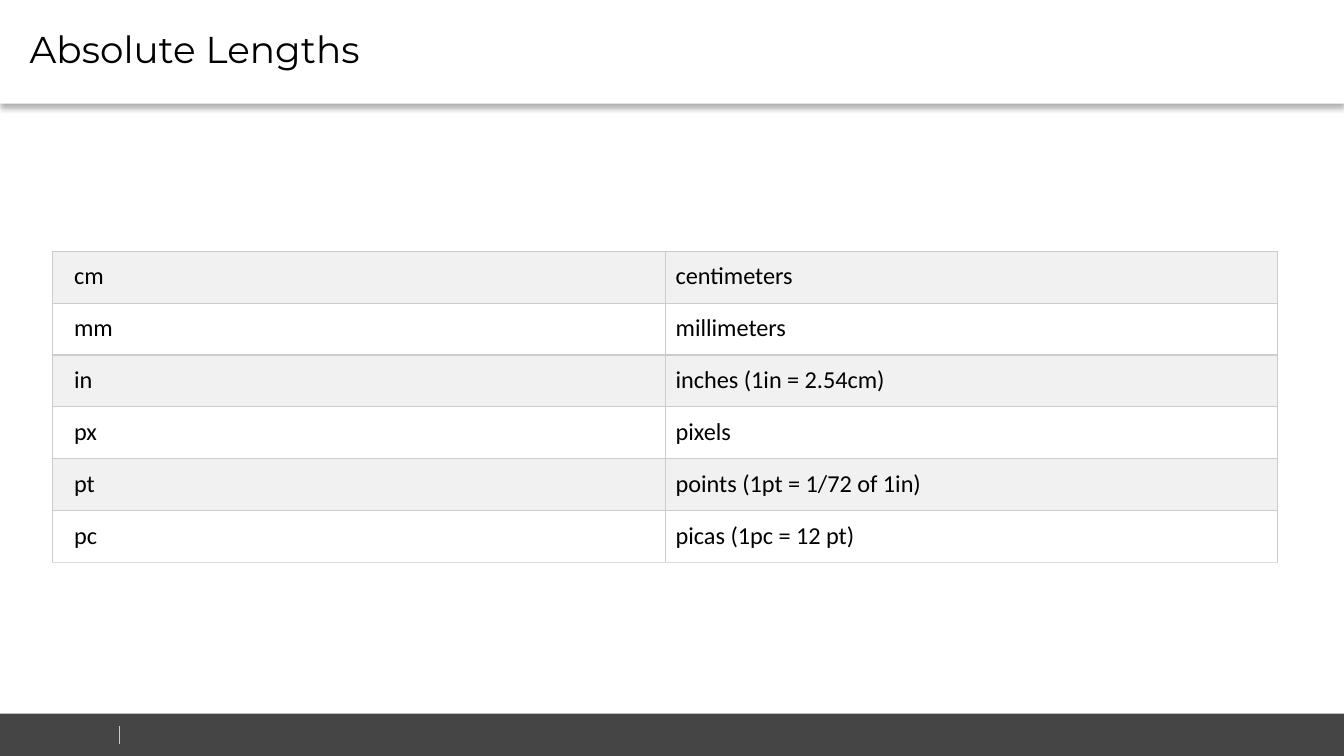
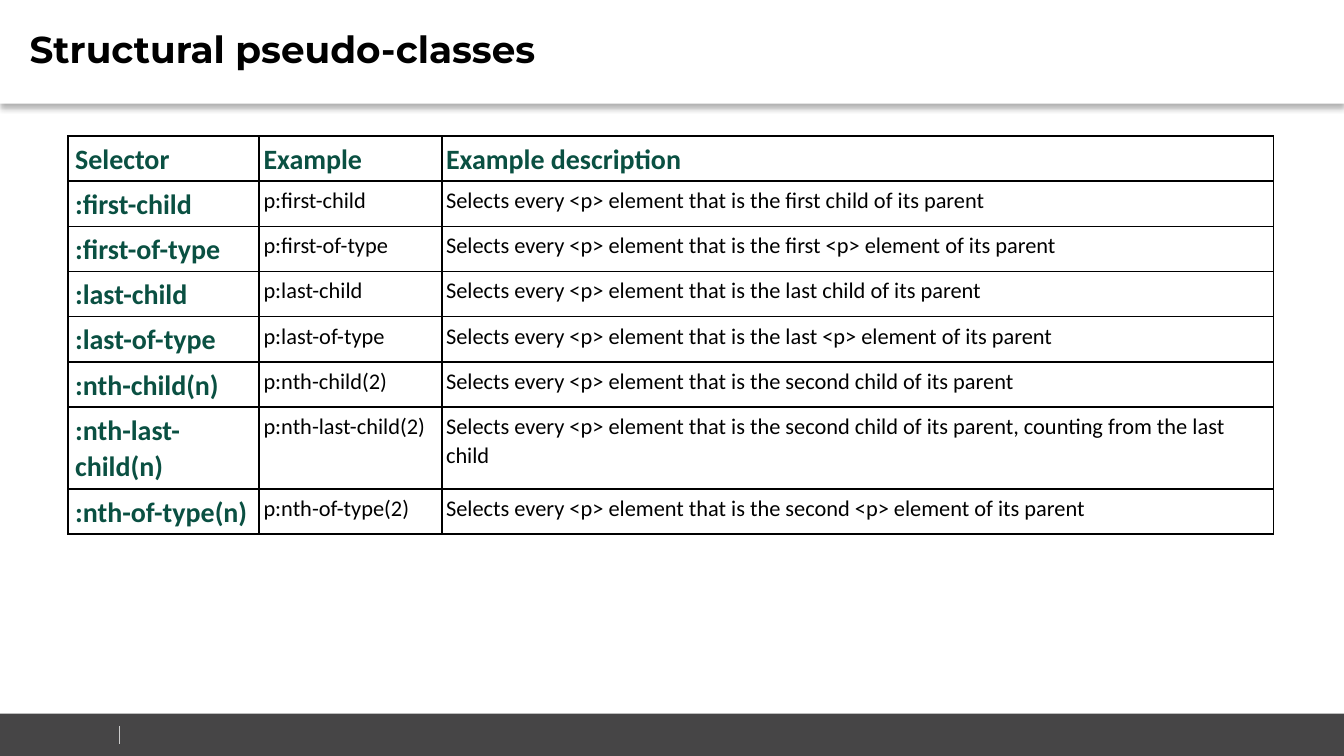
from dataclasses import dataclass

from lxml import etree
from pptx import Presentation
from pptx import util as u
from pptx.dml.color import RGBColor
from pptx.enum import shapes, text
from pptx.oxml.ns import qn

BLACK, WHITE, GREEN = "000000", "FFFFFF", "0A5042"
BAND, RULE, LAST_RULE, STRIPE = "464546", "CCCCCC", "DDDDDD", "F1F1F1"
WIDTH, HEIGHT, TITLE_H, FOOTER_H = u.Cm(25.4), u.Cm(14.29), u.Cm(1.96), u.Cm(0.8)


@dataclass(frozen=True)
class TextStyle:
    size: float
    color: str = BLACK
    bold: bool = False
    spacing: float | None = None
    font: str = "Calibri"


@dataclass(frozen=True)
class TableLook:
    left: float
    top: float
    cols: tuple[float, ...]
    rows: tuple[float, ...]
    first_inset: float
    inset: float
    border: str
    last_border: str
    border_pt: float
    head: TextStyle
    body: TextStyle
    fills: tuple[str, ...] = ()


UNIT_TEXT = TextStyle(13)
UNIT_LOOK = TableLook(0.99, 4.75, (11.58,) * 2, (0.98,) * 6, 0.41, 0.2,
                      RULE, LAST_RULE, 0.75, UNIT_TEXT, UNIT_TEXT, (STRIPE, WHITE))
SELECTOR_LOOK = TableLook(1.29, 2.57, (3.61, 3.45, 15.72), (0.83,) * 6 + (1.5, 0.83),
                          0.13, 0.08, BLACK, BLACK, 1,
                          TextStyle(15, GREEN, True, 1.07), TextStyle(12, spacing=1.07))

UNITS = [
    ("cm", "centimeters"),
    ("mm", "millimeters"),
    ("in", "inches (1in = 2.54cm)"),
    ("px", "pixels"),
    ("pt", "points (1pt = 1/72 of 1in)"),
    ("pc", "picas (1pc = 12 pt)"),
]
SELECTORS = [
    (":first-child", "p:first-child", "first child of its parent"),
    (":first-of-type", "p:first-of-type", "first <p> element of its parent"),
    (":last-child", "p:last-child", "last child of its parent"),
    (":last-of-type", "p:last-of-type", "last <p> element of its parent"),
    (":nth-child(n)", "p:nth-child(2)", "second child of its parent"),
    (":nth-last-child(n)", "p:nth-last-child(2)",
     "second child of its parent, counting from the last child"),
    (":nth-of-type(n)", "p:nth-of-type(2)", "second <p> element of its parent"),
]
SELECTOR_ROWS = [("Selector", "Example", "Example description")] + [
    (name, example, f"Selects every <p> element that is the {target}")
    for name, example, target in SELECTORS
]


def rgb(color: str) -> RGBColor:
    return RGBColor.from_string(color)


def paint(fill, color: str) -> None:
    fill.solid()
    fill.fore_color.rgb = rgb(color)


def write(tf, content: str, style: TextStyle) -> None:
    tf.text = content
    p = tf.paragraphs[0]
    p.alignment = text.PP_ALIGN.LEFT
    if style.spacing:
        p.line_spacing = style.spacing
    f = p.font
    f.name, f.size, f.bold = style.font, u.Pt(style.size), style.bold
    f.color.rgb = rgb(style.color)


def add_shadow(sp) -> None:
    sp.shadow.inherit = False
    effects = sp._element.spPr.find(qn("a:effectLst"))
    shadow = etree.SubElement(effects, qn("a:outerShdw"), blurRad=str(u.Pt(3.1)),
                              dist=str(u.Pt(2)), dir="5400000", algn="t", rotWithShape="0")
    color = etree.SubElement(shadow, qn("a:srgbClr"), val=BLACK)
    etree.SubElement(color, qn("a:alpha"), val="29000")


def add_footer(s) -> None:
    band = s.shapes.add_shape(shapes.MSO_SHAPE.RECTANGLE, 0, HEIGHT - FOOTER_H, WIDTH, FOOTER_H)
    band.shadow.inherit = False
    paint(band.fill, BAND)
    band.line.fill.background()
    x = u.Cm(2.26)
    rule = s.shapes.add_connector(shapes.MSO_CONNECTOR.STRAIGHT, x, u.Cm(13.72), x, u.Cm(14.07))
    rule.line.color.rgb = rgb(RULE)
    rule.line.width = u.Pt(0.25)
    etree.SubElement(rule._element.spPr, qn("a:effectLst"))


def add_slide(prs, title: str, bold: bool = False):
    s = prs.slides.add_slide(prs.slide_layouts[5])
    paint(s.background.fill, WHITE)
    add_footer(s)
    sp = s.shapes.title
    sp.left, sp.top, sp.width, sp.height = 0, 0, WIDTH, TITLE_H
    paint(sp.fill, WHITE)
    add_shadow(sp)
    tf = sp.text_frame
    tf.word_wrap = True
    tf.auto_size = text.MSO_AUTO_SIZE.NONE
    tf.vertical_anchor = text.MSO_ANCHOR.MIDDLE
    tf.margin_left, tf.margin_right = u.Cm(0.56), u.Cm(0.15)
    tf.margin_top = tf.margin_bottom = u.Cm(0.08)
    write(tf, title, TextStyle(20, bold=bold, spacing=0.9, font="Montserrat"))
    return s


def set_borders(cell, look: TableLook, last: bool) -> None:
    tc_pr = cell._tc.get_or_add_tcPr()
    for i, side in enumerate("LRTB"):
        ln = etree.Element(qn(f"a:ln{side}"), w=str(u.Pt(look.border_pt)))
        fill = etree.SubElement(ln, qn("a:solidFill"))
        color = look.last_border if last and side == "B" else look.border
        etree.SubElement(fill, qn("a:srgbClr"), val=color)
        tc_pr.insert(i, ln)


def add_table(s, look: TableLook, rows: list[tuple[str, ...]], has_head: bool) -> None:
    frame = s.shapes.add_table(len(rows), len(look.cols), u.Cm(look.left), u.Cm(look.top),
                               u.Cm(sum(look.cols)), u.Cm(sum(look.rows)))
    table = frame.table
    table.first_row = has_head
    table.horz_banding = False
    for col, width in zip(table.columns, look.cols):
        col.width = u.Cm(width)
    for i, (row, height, values) in enumerate(zip(table.rows, look.rows, rows)):
        row.height = u.Cm(height)
        for j, (cell, value) in enumerate(zip(row.cells, values)):
            cell.margin_left = u.Cm(look.inset if j else look.first_inset)
            cell.margin_right = cell.margin_top = cell.margin_bottom = u.Cm(look.inset)
            if look.fills:
                paint(cell.fill, look.fills[i % len(look.fills)])
            else:
                cell.fill.background()
            set_borders(cell, look, i == len(rows) - 1)
            write(cell.text_frame, value, look.body if i and j else look.head)


def main() -> None:
    prs = Presentation()
    prs.slide_width, prs.slide_height = WIDTH, HEIGHT
    add_table(add_slide(prs, "Absolute Lengths"), UNIT_LOOK, UNITS, False)
    add_table(add_slide(prs, "Structural pseudo-classes", True), SELECTOR_LOOK, SELECTOR_ROWS, True)
    prs.save("out.pptx")


if __name__ == "__main__":
    main()
